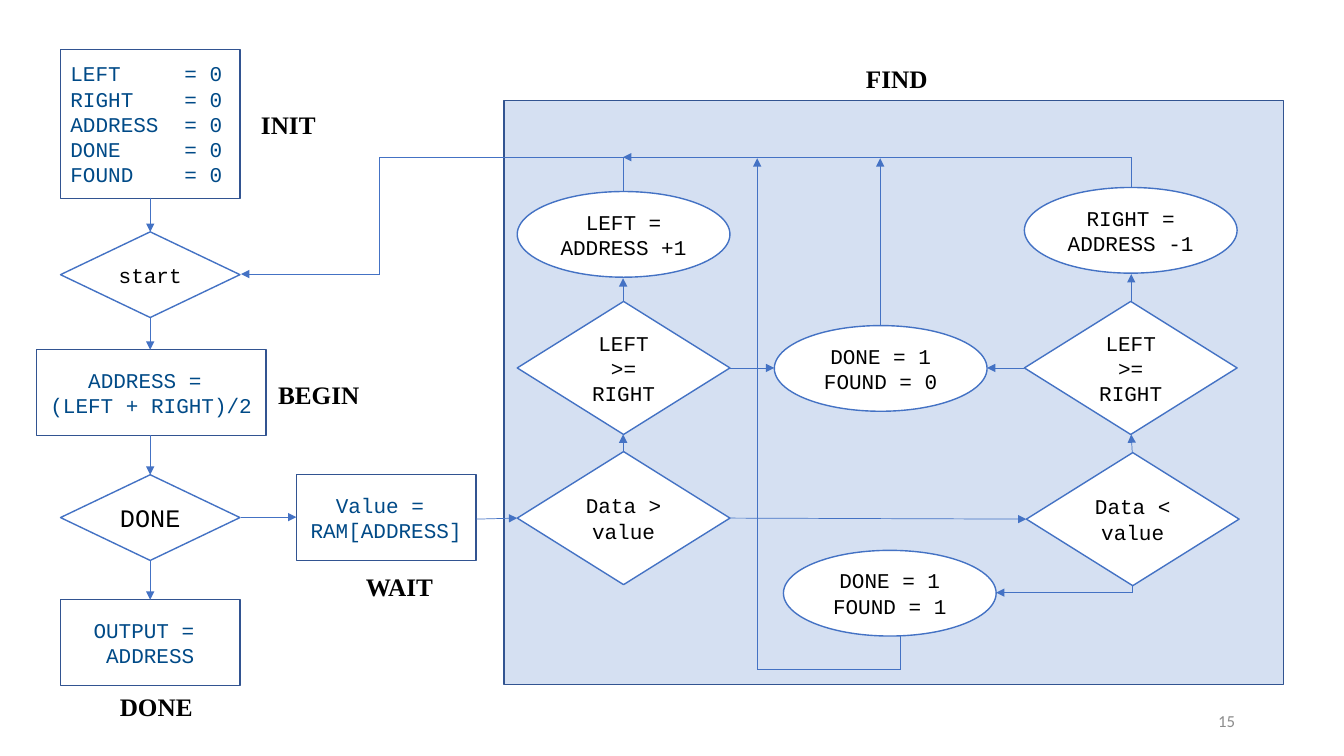
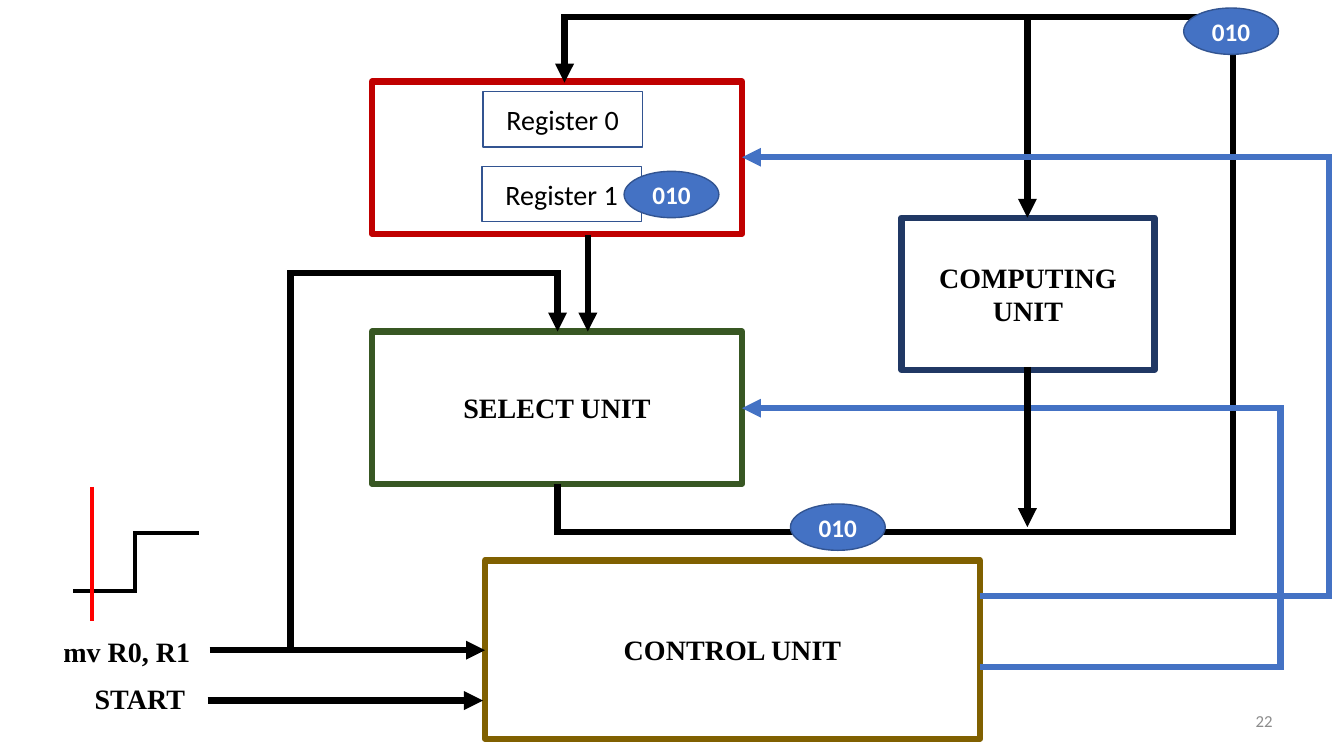
from lxml import etree
from pptx import Presentation
from pptx.dml.color import RGBColor
from pptx.enum.shapes import MSO_CONNECTOR, MSO_SHAPE
from pptx.enum.text import MSO_ANCHOR, MSO_AUTO_SIZE, PP_ALIGN
from pptx.oxml.ns import qn
from pptx.util import Inches, Pt

RECT, DIAMOND, OVAL = MSO_SHAPE.RECTANGLE, MSO_SHAPE.DIAMOND, MSO_SHAPE.OVAL
LEFT, CENTER, RIGHT = PP_ALIGN.LEFT, PP_ALIGN.CENTER, PP_ALIGN.RIGHT
MIDDLE, STRAIGHT = MSO_ANCHOR.MIDDLE, MSO_CONNECTOR.STRAIGHT
FIT_SHAPE = MSO_AUTO_SIZE.SHAPE_TO_FIT_TEXT

BLACK, WHITE, GRAY, RED = "000000", "FFFFFF", "8C8C8C", "FF0000"
BLUE, EDGE, CODE_BLUE = "4472C4", "325491", "004A87"
SANS, SERIF, MONO = "Calibri", "Times New Roman", "Courier New"
THIN, THICK = 0.5, 4.5


def color(value):
    """Turn a hex string into a colour."""
    return RGBColor.from_string(value)


def write(box, text, size, font, ink, bold=False, align=CENTER):
    """Fill a shape with uniformly formatted paragraphs."""
    frame = box.text_frame
    frame.text = text
    for paragraph in frame.paragraphs:
        paragraph.alignment = align
        for span in paragraph.runs:
            span.font.size = Pt(size)
            span.font.name = font
            span.font.bold = bold
            span.font.color.rgb = color(ink)


def add_box(page, kind, at, edge=EDGE, width=1, fill=WHITE):
    """Add a filled and outlined preset shape."""
    box = page.shapes.add_shape(kind, *map(Inches, at))
    box.shadow.inherit = False
    box.fill.solid()
    box.fill.fore_color.rgb = color(fill)
    box.line.color.rgb = color(edge)
    box.line.width = Pt(width)
    box.text_frame.word_wrap = True
    box.text_frame.vertical_anchor = MIDDLE
    return box


def add_label(page, text, left, top, width, size=18, height=0.4):
    """Add a bold serif label."""
    box = page.shapes.add_textbox(*map(Inches, (left, top, width, height)))
    box.text_frame.word_wrap = False
    box.text_frame.auto_size = FIT_SHAPE
    write(box, text, size, SERIF, BLACK, True, LEFT)


def add_page_number(page, number, left):
    """Add the page number at the foot."""
    box = page.shapes.add_textbox(*map(Inches, (left, 6.95, 3, 0.4)))
    box.text_frame.word_wrap = True
    box.text_frame.vertical_anchor = MIDDLE
    write(box, number, 12, SANS, GRAY, align=RIGHT)


def add_route(page, points, ink=BLUE, width=THIN, arrow=True):
    """Draw a straight connector or a bent line through the points."""
    spots = [(Inches(x), Inches(y)) for x, y in points]
    if len(spots) == 2:
        line = page.shapes.add_connector(STRAIGHT, *spots[0], *spots[1])
        etree.SubElement(line._element.spPr, qn("a:effectLst"))
    else:
        builder = page.shapes.build_freeform(*spots[0])
        builder.add_line_segments(spots[1:], close=False)
        line = builder.convert_to_shape()
        line.shadow.inherit = False
        line.fill.background()
    line.line.color.rgb = color(ink)
    line.line.width = Pt(width)
    outline = line.line._get_or_add_ln()
    etree.SubElement(outline, qn("a:miter"), lim="800000")
    if arrow:
        etree.SubElement(outline, qn("a:tailEnd"), type="triangle")


def add_step(page, kind, text, at, size=15):
    """Add one flowchart step in code type."""
    is_action = kind == RECT
    box = add_box(page, kind, at, EDGE if is_action else BLUE)
    write(box, text, size, MONO, CODE_BLUE if is_action else BLACK)
    return box


def add_register_list(page):
    """Add the initial values, lined up by a tab stop."""
    names = ("LEFT", "RIGHT", "ADDRESS", "DONE", "FOUND")
    box = add_box(page, RECT, (0.6, 0.49, 1.78, 1.48))
    text = "\n".join(f"{name}\t= 0" for name in names)
    write(box, text, 15, MONO, CODE_BLUE, align=LEFT)
    for paragraph in box.text_frame.paragraphs:
        stops = etree.SubElement(paragraph._p.get_or_add_pPr(), qn("a:tabLst"))
        etree.SubElement(stops, qn("a:tab"), pos=str(Inches(1.13)), algn="l")


def add_find_panel(page):
    """Add the translucent panel behind the search steps."""
    panel = add_box(page, RECT, (5, 1, 7.73, 5.79), fill=BLUE)
    tint = panel._element.spPr.find(qn("a:solidFill"))[0]
    etree.SubElement(tint, qn("a:alpha"), val="22000")


def build_flowchart(page):
    """Build the search flowchart."""
    add_page_number(page, "15", 9.35)
    add_find_panel(page)
    add_register_list(page)

    small, large = (1.78, 0.85), (2.11, 1.32)
    oval = (2.11, 0.85)
    steps = [
        (RECT, "ADDRESS = \n(LEFT + RIGHT)/2", 0.36, 3.47, (2.28, 0.85)),
        (DIAMOND, "start", 0.6, 2.3, small),
        (RECT, "Value = \nRAM[ADDRESS]", 2.94, 4.71, small),
        (RECT, "OUTPUT = \nADDRESS", 0.6, 5.95, small),
        (DIAMOND, "Data > value", 5.13, 4.48, large),
        (DIAMOND, "Data < value", 10.18, 4.49, large),
        (DIAMOND, "LEFT >= RIGHT", 5.13, 2.99, large),
        (DIAMOND, "LEFT >= RIGHT", 10.16, 2.99, large),
        (OVAL, "LEFT = ADDRESS +1", 5.13, 1.9, oval),
        (OVAL, "RIGHT = ADDRESS -1", 10.16, 1.86, oval),
        (OVAL, "DONE = 1\nFOUND = 0", 7.68, 3.23, oval),
        (OVAL, "DONE = 1\nFOUND = 1", 7.77, 5.46, oval),
    ]
    for kind, text, left, top, size in steps:
        add_step(page, kind, text, (left, top, *size))
    add_step(page, DIAMOND, "DONE", (0.6, 4.71, *small), 18)

    for top, bottom in ((1.96, 2.3), (3.15, 3.47), (4.32, 4.71), (5.56, 5.95)):
        add_route(page, [(1.49, top), (1.49, bottom)])
    routes = [
        [(2.39, 5.13), (2.94, 5.13)],
        [(4.72, 5.15), (5.13, 5.14)],
        [(7.24, 5.14), (10.18, 5.15)],
        [(6.18, 4.48), (6.18, 4.31)],
        [(6.18, 2.99), (6.18, 2.76)],
        [(7.24, 3.65), (7.68, 3.65)],
        [(10.16, 3.65), (9.79, 3.65)],
        [(11.23, 4.49), (11.22, 4.31)],
        [(11.22, 2.99), (11.22, 2.72)],
        [(8.73, 3.23), (8.73, 1.57)],
        [(11.22, 1.86), (11.22, 1.56), (6.18, 1.56)],
        [(6.18, 1.9), (6.18, 1.56), (3.76, 1.56), (3.76, 2.72), (2.39, 2.72)],
        [(11.23, 5.81), (11.23, 5.88), (9.88, 5.88)],
        [(8.93, 6.31), (8.93, 6.64), (7.51, 6.64), (7.51, 1.57)],
    ]
    for points in routes:
        add_route(page, points)

    labels = [
        ("INIT", 2.49, 1.04, 0.75),
        ("BEGIN", 2.66, 3.71, 1.02),
        ("WAIT", 3.53, 5.62, 0.88),
        ("FIND", 8.49, 0.58, 0.82),
        ("DONE", 1.09, 6.81, 0.93),
    ]
    for label in labels:
        add_label(page, *label)


def build_datapath(page):
    """Build the processor block diagram."""
    add_page_number(page, "22", 9.72)
    units = [
        ("", (3.69, 0.81, 3.67, 1.51), "C00000"),
        ("SELECT UNIT", (3.69, 3.29, 3.67, 1.51), "385723"),
        ("COMPUTING UNIT", (8.94, 2.16, 2.51, 1.51), "203864"),
        ("CONTROL UNIT", (4.81, 5.56, 4.91, 1.77), "806000"),
    ]
    for text, at, edge in units:
        unit = add_box(page, RECT, at, edge, THICK)
        if text:
            write(unit, text, 20, SERIF, BLACK, True)

    result_loop = [(5.53, 4.8), (5.53, 5.28), (12.23, 5.28), (12.23, 0.17),
                   (5.6, 0.17), (5.6, 0.82)]
    wires = [
        (BLACK, [(2.08, 6.45), (4.81, 6.45)]),
        (BLACK, [(2.06, 6.95), (4.79, 6.95)]),
        (BLACK, [(5.83, 2.33), (5.83, 3.29)]),
        (BLACK, [(2.88, 6.45), (2.88, 2.71), (5.53, 2.71), (5.53, 3.29)]),
        (BLACK, result_loop),
        (BLACK, [(10.19, 0.17), (10.19, 2.16)]),
        (BLUE, [(9.72, 6.62), (12.7, 6.62), (12.7, 4.05), (7.36, 4.05)]),
        (BLUE, [(9.72, 5.91), (13.18, 5.91), (13.18, 1.56), (7.36, 1.56)]),
        (BLACK, [(10.19, 3.64), (10.19, 5.23)]),
    ]
    for ink, points in wires:
        add_route(page, points, ink, THICK)

    clock_edge = [(1.97, 5.29), (1.34, 5.29), (1.34, 5.86), (0.72, 5.86)]
    add_route(page, clock_edge, BLACK, 3, arrow=False)
    add_route(page, [(0.91, 4.83), (0.91, 6.16)], RED, 3, arrow=False)
    add_label(page, "mv R0, R1", 0.53, 6.25, 1.47, 20, 0.44)
    add_label(page, "START", 0.84, 6.71, 1.11, 20, 0.44)

    for text, left, top in (("Register 0", 4.79, 0.91), ("Register 1", 4.78, 1.65)):
        register = add_box(page, RECT, (left, top, 1.58, 0.55))
        write(register, text, 20, SANS, BLACK)
    for left, top in ((6.19, 1.7), (7.84, 5), (11.74, 0.08)):
        token = add_box(page, OVAL, (left, top, 0.94, 0.46), fill=BLUE)
        write(token, "010", 18, SANS, WHITE, True)


def main():
    """Build and save the deck."""
    deck = Presentation()
    deck.slide_width, deck.slide_height = Inches(13.33), Inches(7.5)
    for build in (build_flowchart, build_datapath):
        build(deck.slides.add_slide(deck.slide_layouts[6]))
    deck.save("out.pptx")


if __name__ == "__main__":
    main()
